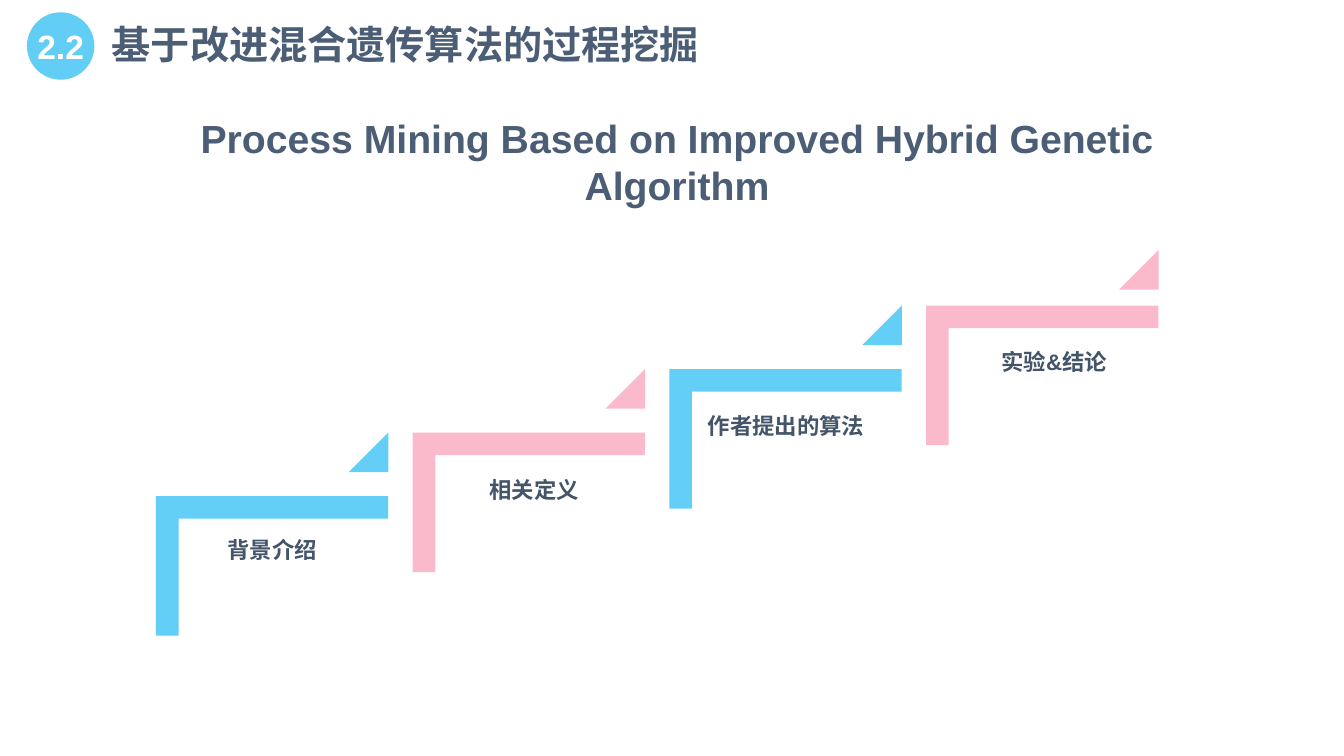
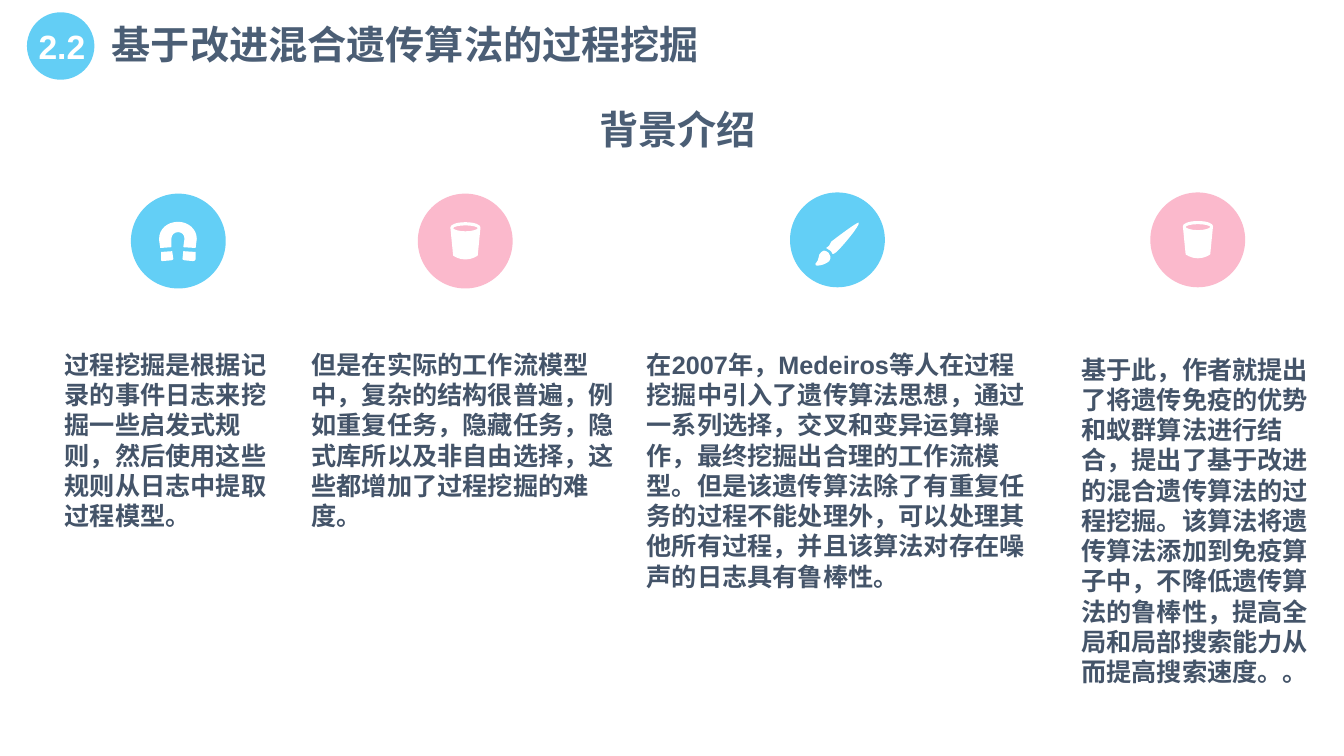
import pptx
import pptx.dml.color
import pptx.enum.lang
import pptx.enum.shapes
import pptx.enum.text
import pptx.oxml.ns
import pptx.util
from lxml import etree

Cm = pptx.util.Cm
Pt = pptx.util.Pt
SHAPE = pptx.enum.shapes.MSO_SHAPE
LEFT = pptx.enum.text.PP_ALIGN.LEFT
CENTER = pptx.enum.text.PP_ALIGN.CENTER
qn = pptx.oxml.ns.qn

SKY = "63CFF6"
PINK = "FBB9CC"
BADGE = "00B0F0"
HEADING = "4B5E75"
BODY = "445469"
WHITE = "FFFFFF"


def paint(shape, color):
    shape.shadow.inherit = False
    shape.fill.solid()
    shape.fill.fore_color.rgb = pptx.dml.color.RGBColor.from_string(color)
    shape.line.fill.background()


def write(slide, box, text, size, color, align=LEFT, inset=(0.25, 0.13)):
    frame = slide.shapes.add_textbox(*map(Cm, box)).text_frame
    frame.word_wrap = True
    frame.margin_left = frame.margin_right = Cm(inset[0])
    frame.margin_top = frame.margin_bottom = Cm(inset[1])
    paragraph = frame.paragraphs[0]
    paragraph.alignment = align
    paragraph._p.get_or_add_pPr().set("hangingPunct", "0")
    run = paragraph.add_run()
    run.text = text
    run.font.name = "Arial"
    run.font.size = Pt(size)
    run.font.bold = True
    run.font.language_id = pptx.enum.lang.MSO_LANGUAGE_ID.SIMPLIFIED_CHINESE
    run.font.color.rgb = pptx.dml.color.RGBColor.from_string(color)


deck = pptx.Presentation()
deck.slide_width = Cm(33.87)
deck.slide_height = Cm(19.05)
overview = deck.slides.add_slide(deck.slide_layouts[6])
background = deck.slides.add_slide(deck.slide_layouts[6])

subheadings = [
    (overview, 0.53, (4.78, 2.74, 24.56, 2.64),
     "Process Mining Based on Improved Hybrid Genetic Algorithm"),
    (background, 0.56, (12.45, 2.53, 9.25, 1.45), "背景介绍"),
]
for slide, number_left, box, subheading in subheadings:
    badge = slide.shapes.add_shape(SHAPE.OVAL, Cm(0.68), Cm(0.31), Cm(1.7), Cm(1.7))
    paint(badge, BADGE)
    tint = badge._element.spPr.find(".//" + qn("a:srgbClr"))
    etree.SubElement(tint, qn("a:alpha")).set("val", "61000")
    write(slide, (2.57, 0.38, 16.84, 1.45), "基于改进混合遗传算法的过程挖掘", 28, HEADING)
    write(slide, (number_left, 0.52, 2, 1.27), "2.2", 24, WHITE, CENTER)
    write(slide, box, subheading, 28, HEADING, CENTER)

STEP_WIDTH, STEP_HEIGHT, STEP_BAR = 5.85, 3.52, 0.57
steps = [
    ("背景介绍", SKY, 3.61, 13.51, 1.6),
    ("相关定义", PINK, 10.21, 11.99, 1.6),
    ("作者提出的算法", SKY, 16.56, 10.39, 1.6),
    ("实验&结论", PINK, 23.32, 8.78, 1.4),
]
for index, (label, color, label_left, label_top, lift) in enumerate(steps):
    left = 3.93 + 6.47 * index
    top = 12.5 - 1.6 * index
    right, bottom = left + STEP_WIDTH, top + STEP_HEIGHT
    corners = [
        (right, top), (right, top + STEP_BAR), (left + STEP_BAR, top + STEP_BAR),
        (left + STEP_BAR, bottom), (left, bottom), (left, top),
    ]
    points = [(Cm(x), Cm(y)) for x, y in corners]
    bracket = overview.shapes.build_freeform(*points[0])
    bracket.add_line_segments(points[1:], close=True)
    paint(bracket.convert_to_shape(), color)
    flag = overview.shapes.add_shape(
        SHAPE.ISOSCELES_TRIANGLE, Cm(right - 0.99), Cm(top - lift), Cm(1), Cm(1))
    flag.adjustments[0] = 1
    paint(flag, color)
    write(overview, (label_left, label_top, 6.5, 0.68), label, 16, BODY, CENTER, (0, 0))

magnet = [
    [(1.3, 1.65), (1.3, 1.65, 1.32, 1.68, 1.35, 1.68), (1.57, 1.7),
     (1.6, 1.7, 1.63, 1.68, 1.63, 1.65), (1.63, 1.47), (1.32, 1.45)],
    [(0.76, 1.47), (0.76, 1.65), (0.76, 1.68, 0.76, 1.7, 0.79, 1.7), (1.02, 1.68),
     (1.04, 1.68, 1.07, 1.65, 1.07, 1.65), (1.04, 1.45)],
    [(0.71, 1.17), (0.74, 1.37), (1.02, 1.35), (1.02, 1.14),
     (1.02, 1.04, 1.09, 0.97, 1.19, 0.97), (1.29, 0.97, 1.35, 1.04, 1.35, 1.14),
     (1.32, 1.35), (1.63, 1.37), (1.66, 1.14),
     (1.66, 0.89, 1.44, 0.71, 1.19, 0.71), (0.92, 0.71, 0.71, 0.89, 0.71, 1.14)],
]
bucket = [
    [(1.2, 0.72), (0.95, 0.72, 0.82, 0.79, 0.82, 0.85), (0.89, 1.56),
     (0.89, 1.56, 1.02, 1.66, 1.2, 1.66), (1.38, 1.66, 1.51, 1.56, 1.51, 1.56),
     (1.58, 0.85), (1.58, 0.79, 1.45, 0.72, 1.2, 0.72)],
    [(1.2, 0.95), (1.02, 0.95, 0.89, 0.9, 0.89, 0.87),
     (0.89, 0.84, 1.02, 0.8, 1.2, 0.8), (1.38, 0.8, 1.51, 0.84, 1.51, 0.87),
     (1.51, 0.9, 1.38, 0.95, 1.2, 0.95)],
]
brush = [
    [(0.79, 1.5), (0.69, 1.57, 0.76, 1.68, 0.64, 1.8),
     (0.58, 1.88, 0.86, 1.85, 0.99, 1.73), (1.04, 1.65, 1.02, 1.57, 0.97, 1.52),
     (0.89, 1.45, 0.81, 1.45, 0.79, 1.5)],
    [(1.73, 0.76), (1.7, 0.74, 1.19, 1.12, 1.04, 1.24),
     (0.99, 1.35, 0.97, 1.37, 0.91, 1.4), (0.94, 1.42),
     (0.97, 1.45, 0.99, 1.45, 1.02, 1.47), (1.04, 1.5, 1.07, 1.52, 1.07, 1.55),
     (1.09, 1.55), (1.12, 1.55, 1.17, 1.5, 1.22, 1.45),
     (1.37, 1.3, 1.78, 0.81, 1.73, 0.76)],
]

columns = [
    (3.3, 4.88, SKY, magnet, (1.63, 8.8, 5.6, 4.62),
     "过程挖掘是根据记录的事件日志来挖掘一些启发式规则，然后使用这些规则从日志中提取过程模型。"),
    (10.53, 4.88, PINK, bucket, (7.85, 8.8, 7.77, 3.84),
     "但是在实际的工作流模型中，复杂的结构很普遍，例如重复任务，隐藏任务，"
     "隐式库所以及非自由选择，这些都增加了过程挖掘的难度。"),
    (19.91, 4.85, SKY, brush, (16.3, 8.8, 9.6, 6.15),
     "在2007年，Medeiros等人在过程挖掘中引入了遗传算法思想，通过一系列选择，"
     "交叉和变异运算操作，最终挖掘出合理的工作流模型。但是该遗传算法除了有重复任务的"
     "过程不能处理外，可以处理其他所有过程，并且该算法对存在噪声的日志具有鲁棒性。"),
    (28.99, 4.85, PINK, bucket, (27.25, 8.92, 5.87, 8.45),
     "基于此，作者就提出了将遗传免疫的优势和蚁群算法进行结合，提出了基于改进的混合遗传"
     "算法的过程挖掘。该算法将遗传算法添加到免疫算子中，不降低遗传算法的鲁棒性，"
     "提高全局和局部搜索能力从而提高搜索速度。。"),
]
for left, top, color, contours, box, text in columns:
    disc = background.shapes.add_shape(SHAPE.OVAL, Cm(left), Cm(top), Cm(2.39), Cm(2.39))
    paint(disc, color)
    outline = None
    for contour in contours:
        points = [(Cm(left + s[-2]), Cm(top + s[-1])) for s in contour]
        if outline is None:
            outline = background.shapes.build_freeform(*points[0])
        else:
            outline.move_to(*points[0])
        outline.add_line_segments(points[1:], close=True)
    icon = outline.convert_to_shape()
    paint(icon, WHITE)
    segments = [segment for contour in contours for segment in contour[1:]]
    edges = list(icon._element.iter(qn("a:lnTo")))
    for edge, segment in zip(edges, segments):
        if len(segment) == 2:
            continue
        curve = etree.Element(qn("a:cubicBezTo"))
        for x, y in zip(segment[::2], segment[1::2]):
            point = etree.SubElement(curve, qn("a:pt"))
            point.set("x", str(Cm(left + x) - icon.left))
            point.set("y", str(Cm(top + y) - icon.top))
        edge.getparent().replace(edge, curve)
    write(background, box, text, 18, BODY, inset=(0, 0))

deck.save("out.pptx")
